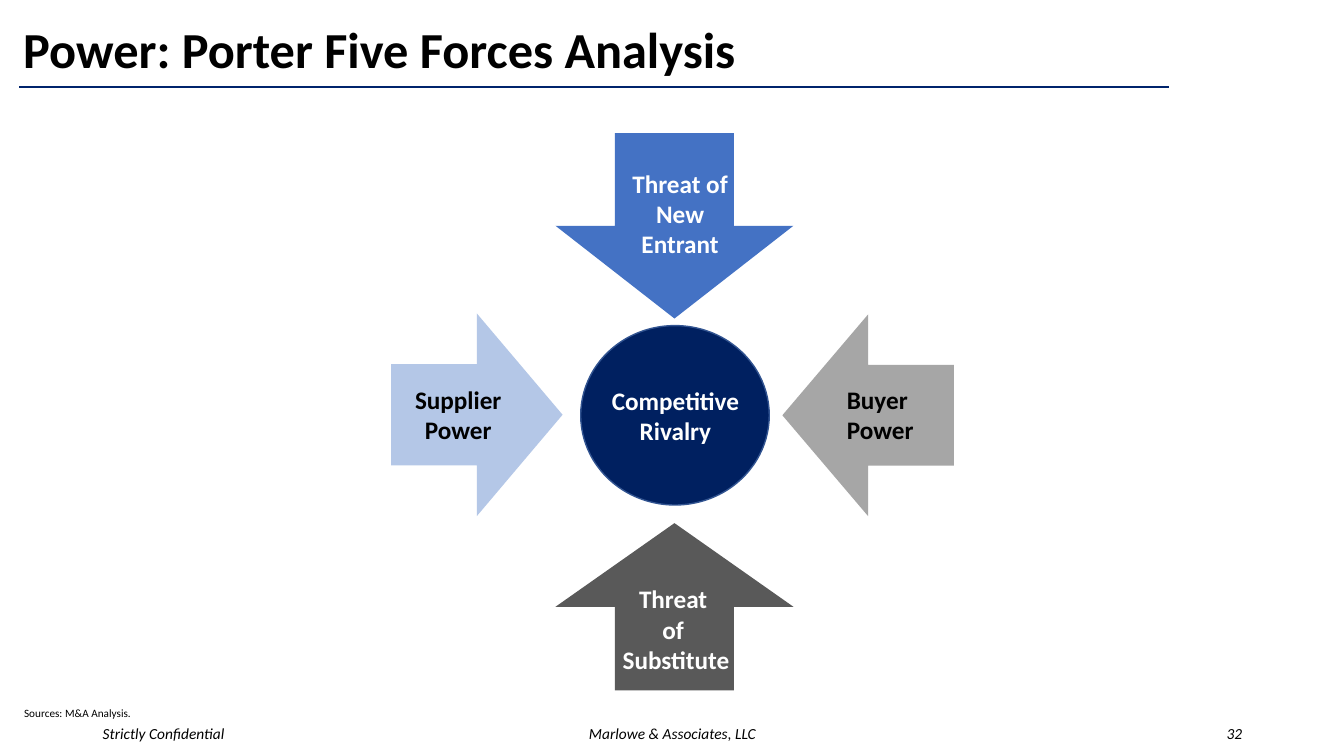
from lxml import etree
from pptx import Presentation
from pptx.dml.color import RGBColor
from pptx.enum.shapes import MSO_CONNECTOR, MSO_SHAPE
from pptx.enum.text import MSO_ANCHOR, MSO_AUTO_SIZE, PP_ALIGN
from pptx.oxml.ns import qn
from pptx.util import Inches, Pt


def rgb(value):
    return RGBColor.from_string(value)


class Deck:
    font = "Calibri"
    black = "000000"
    white = "FFFFFF"

    def __init__(self, prs):
        self.slide = prs.slides.add_slide(prs.slide_layouts[5])

    def fill_text(self, tf, lines, size, color, align, anchor, bold=False, italic=False):
        tf.word_wrap = True
        tf.auto_size = MSO_AUTO_SIZE.NONE
        tf.vertical_anchor = anchor
        for i, line in enumerate(lines):
            p = tf.paragraphs[0] if i == 0 else tf.add_paragraph()
            p.text = line
            p.alignment = align
            p.font.name = self.font
            p.font.size = Pt(size)
            p.font.bold = bold
            p.font.italic = italic
            p.font.color.rgb = rgb(color)

    def title(self, text, x, y, w, h):
        sp = self.slide.shapes.title
        sp.left, sp.top, sp.width, sp.height = map(Inches, (x, y, w, h))
        self.fill_text(sp.text_frame, [text], 36, self.black, PP_ALIGN.LEFT,
                       MSO_ANCHOR.MIDDLE, bold=True)
        sp.text_frame.paragraphs[0].line_spacing = 0.9

    def rule(self, x1, x2, y, color, width):
        line = self.slide.shapes.add_connector(
            MSO_CONNECTOR.STRAIGHT, Inches(x1), Inches(y), Inches(x2), Inches(y))
        line.line.color.rgb = rgb(color)
        line.line.width = Pt(width)
        etree.SubElement(line._element.spPr, qn("a:effectLst"))

    def shape(self, kind, x, y, w, h, fill, outline=None):
        sp = self.slide.shapes.add_shape(kind, *map(Inches, (x, y, w, h)))
        sp.shadow.inherit = False
        sp.fill.solid()
        sp.fill.fore_color.rgb = rgb(fill)
        if outline:
            sp.line.color.rgb = rgb(outline)
            sp.line.width = Pt(1)
        else:
            sp.line.fill.background()

    def text(self, lines, x, y, w, h, size, color, align=PP_ALIGN.LEFT,
             anchor=MSO_ANCHOR.TOP, bold=False, italic=False):
        box = self.slide.shapes.add_textbox(*map(Inches, (x, y, w, h)))
        self.fill_text(box.text_frame, lines, size, color, align, anchor, bold, italic)

    def label(self, lines, x, y, w, h, color):
        self.text(lines, x, y, w, h, 18, color, PP_ALIGN.CENTER, bold=True)

    def footer(self, text, x, w, align):
        self.text([text], x, 7.08, w, 0.4, 11, self.black, align,
                  MSO_ANCHOR.MIDDLE, italic=True)


def main():
    prs = Presentation()
    prs.slide_width, prs.slide_height = Inches(13.33), Inches(7.5)
    deck = Deck(prs)

    deck.rule(0.19, 11.59, 0.86, "00246C", 1.5)
    deck.title("Power: Porter Five Forces Analysis", 0.13, 0.19, 11.5, 0.65)

    forces = [
        (MSO_SHAPE.UP_ARROW, (5.51, 5.19, 2.36, 1.66), "595959",
         ["Threat ", "of ", "Substitute"], (5.9, 5.74, 1.61, 1.01), deck.white),
        (MSO_SHAPE.DOWN_ARROW, (5.51, 1.32, 2.36, 1.84), "4472C4",
         ["Threat of New Entrant"], (6.07, 1.62, 1.35, 1.01), deck.white),
        (MSO_SHAPE.RIGHT_ARROW, (3.88, 3.11, 1.7, 2.01), "B4C7E7",
         ["Supplier", "Power"], (3.95, 3.76, 1.19, 0.71), deck.black),
        (MSO_SHAPE.LEFT_ARROW, (7.76, 3.12, 1.7, 2), "A6A6A6",
         ["Buyer ", "Power"], (8.03, 3.76, 1.4, 0.71), deck.black),
    ]
    for kind, place, fill, lines, label_place, color in forces:
        deck.shape(kind, *place, fill)
        deck.label(lines, *label_place, color)

    deck.shape(MSO_SHAPE.OVAL, 5.76, 3.23, 1.87, 1.78, "002060", "325491")
    deck.label(["Competitive Rivalry"], 5.78, 3.77, 1.84, 0.71, deck.white)

    deck.text(["Sources: M&A Analysis."], 0.14, 6.96, 8.51, 0.24, 8, deck.black)
    deck.footer("Strictly Confidential", 0.92, 3, PP_ALIGN.LEFT)
    deck.footer("Marlowe & Associates, LLC", 4.42, 4.5, PP_ALIGN.CENTER)
    deck.footer("32", 9.42, 3, PP_ALIGN.RIGHT)

    prs.save("out.pptx")


if __name__ == "__main__":
    main()
